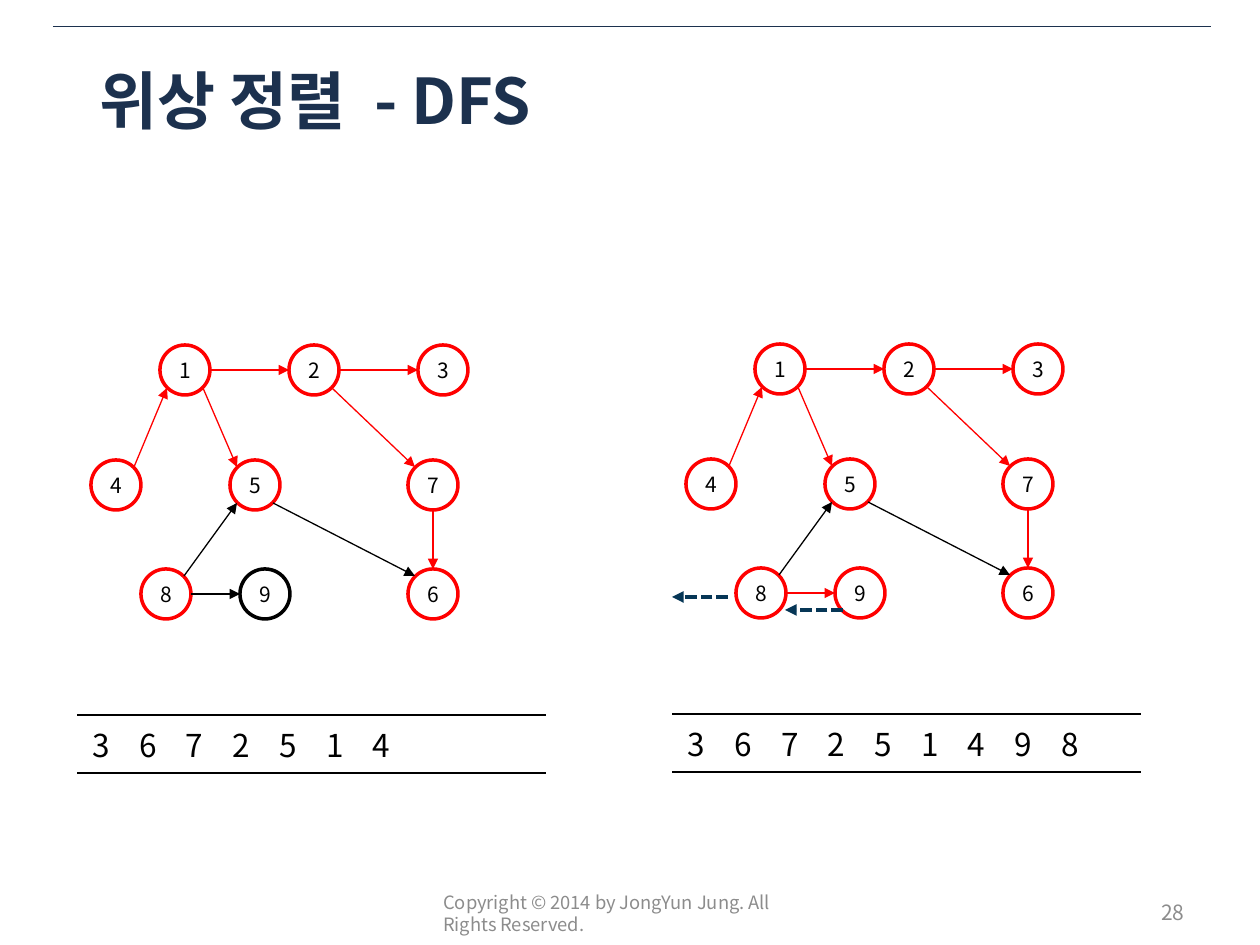
from lxml import etree
from pptx import Presentation
from pptx.dml.color import RGBColor
from pptx.enum.dml import MSO_LINE
from pptx.enum.shapes import MSO_CONNECTOR, MSO_SHAPE
from pptx.enum.text import MSO_ANCHOR, PP_ALIGN
from pptx.oxml.ns import qn
from pptx.util import Pt

OVAL = MSO_SHAPE.OVAL
LINE = MSO_CONNECTOR.STRAIGHT
DASH = MSO_LINE.SQUARE_DOT
MID = MSO_ANCHOR.MIDDLE
LEFT, MID_X, RIGHT = PP_ALIGN.LEFT, PP_ALIGN.CENTER, PP_ALIGN.RIGHT

SCALE = 914400 / 126
FONT = "Noto Sans CJK KR"
HUES = {"navy": "1C314E", "gray": "8C8C8C", "black": "000000",
        "red": "FF0000", "back": "063656"}

RAD, DIAG = 25, 18
SIDES = {"n": (0, -RAD), "s": (0, RAD), "e": (RAD, 0), "w": (-RAD, 0),
         "ne": (DIAG, -DIAG), "nw": (-DIAG, -DIAG),
         "se": (DIAG, DIAG), "sw": (-DIAG, DIAG)}
NODES = {1: (185, 370), 5: (255, 485), 7: (433, 485), 4: (116, 485),
         3: (443, 370), 2: (314, 370), 6: (433, 594), 9: (265, 594),
         8: (166, 594)}
EDGES = [(1, "e", 2, "w"), (2, "e", 3, "w"), (4, "ne", 1, "sw"),
         (1, "se", 5, "nw"), (2, "se", 7, "nw"), (8, "ne", 5, "sw"),
         (8, "e", 9, "w"), (5, "se", 6, "nw"), (7, "s", 6, "n")]
CROSS = {(8, 5), (5, 6)}
STEPS = [(0, 0, {1, 2, 3, 4, 5, 6, 7, 8}, "3672514"),
         (595, -1, set(NODES), "367251498")]
BACKS = [(843, 610, 785), (728, 597, 672)]


def emu(*nums):
    """Turn px lengths into EMU."""
    return [round(num * SCALE) for num in nums]


def tint(hue):
    """Return the named colour."""
    return RGBColor.from_string(HUES[hue])


class Deck:
    """Hold the style and the current slide."""

    def __init__(self):
        """Open a deck with one titled slide."""
        self.prs = Presentation()
        self.prs.slide_width, self.prs.slide_height = emu(1260, 945)
        self.slide = self.prs.slides.add_slide(self.prs.slide_layouts[5])
        self.shapes = self.slide.shapes

    def text(self, frame, runs, size, hue, align=LEFT, bold=False):
        """Fill a text frame with one paragraph of runs."""
        para = frame.paragraphs[0]
        para.alignment = align
        for words in runs:
            run = para.add_run()
            run.text = words
            font = run.font
            font.size, font.bold, font.name = Pt(size), bold, FONT
            font.color.rgb = tint(hue)
            etree.SubElement(font._element, qn("a:ea"), typeface=FONT)

    def title(self, runs, box):
        """Place and fill the title."""
        head = self.shapes.title
        head.left, head.top, head.width, head.height = emu(*box)
        head.text_frame.vertical_anchor = MID
        self.text(head.text_frame, runs, 36, "navy", bold=True)

    def label(self, words, box, size, align=LEFT):
        """Add a wrapped gray text box."""
        frame = self.shapes.add_textbox(*emu(*box)).text_frame
        frame.word_wrap = True
        frame.vertical_anchor = MID
        self.text(frame, [words], size, "gray", align)

    def line(self, ends, hue, width, home=None, dash=None, arrow=True):
        """Add a straight line or arrow."""
        link = (home or self.shapes).add_connector(LINE, *emu(*ends))
        link.line.color.rgb = tint(hue)
        link.line.width = Pt(width)
        if dash:
            link.line.dash_style = dash
        if arrow:
            etree.SubElement(link.line._get_or_add_ln(), qn("a:tailEnd"),
                             type="triangle")
        etree.SubElement(link._element.spPr, qn("a:effectLst"))

    def node(self, home, num, x, y, hue):
        """Add a numbered circle about a centre."""
        ring = home.add_shape(OVAL, *emu(x - RAD, y - RAD, 2 * RAD, 2 * RAD))
        ring.shadow.inherit = False
        ring.fill.background()
        ring.line.color.rgb = tint(hue)
        ring.line.width = Pt(2)
        ring.text_frame.vertical_anchor = MID
        self.text(ring.text_frame, [str(num)], 12, "black", MID_X)

    def graph(self, dx, dy, seen):
        """Add the graph with its visited part in red."""
        home = self.shapes.add_group_shape().shapes
        spots = {num: (x + dx, y + dy) for num, (x, y) in NODES.items()}
        for num, (x, y) in spots.items():
            self.node(home, num, x, y, "red" if num in seen else "black")
        for a, out, b, into in EDGES:
            tree = b in seen and (a, b) not in CROSS
            ends = [p + q for num, side in ((a, out), (b, into))
                    for p, q in zip(spots[num], SIDES[side])]
            self.line(ends, "red" if tree else "black", 0.75, home)

    def rule(self, cell, tag):
        """Draw a black border on one side of a cell."""
        edge = etree.SubElement(cell._tc.get_or_add_tcPr(), qn(tag),
                                w=str(int(Pt(1))))
        fill = etree.SubElement(edge, qn("a:solidFill"))
        etree.SubElement(fill, qn("a:srgbClr"), val=HUES["black"])

    def table(self, dx, dy, order):
        """Add the ruled row of output digits."""
        box = emu(78 + dx, 658 + dy, 467, 115)
        grid = self.shapes.add_table(2, 10, *box).table
        grid.first_row = grid.horz_banding = False
        for row, high in zip(grid.rows, emu(57, 58)):
            row.height = high
        for top, low, digit in zip(grid.rows[0].cells, grid.rows[1].cells,
                                   order.ljust(10)):
            self.rule(top, "a:lnB")
            self.rule(low, "a:lnT")
            self.rule(low, "a:lnB")
            for cell in (top, low):
                cell.fill.background()
            if digit.strip():
                self.text(low.text_frame, [digit], 18, "black", MID_X)


def main():
    """Build and save the slide."""
    deck = Deck()
    deck.line((53, 26, 1211, 26), "navy", 0.25, arrow=False)
    deck.label("28", (903, 887, 294, 50), 12, RIGHT)
    deck.title(["위상 정렬 ", " - DFS"], (87, 50, 1086, 98))
    deck.label("Copyright © 2014 by JongYun Jung. All Rights Reserved.",
               (431, 888, 399, 50), 10.5)
    for dx, dy, seen, order in STEPS:
        deck.table(dx, dy, order)
        deck.graph(dx, dy, seen)
    for x, y, end in BACKS:
        deck.line((x, y, end, y), "back", 2.25, dash=DASH)
    deck.prs.save("out.pptx")


if __name__ == "__main__":
    main()
